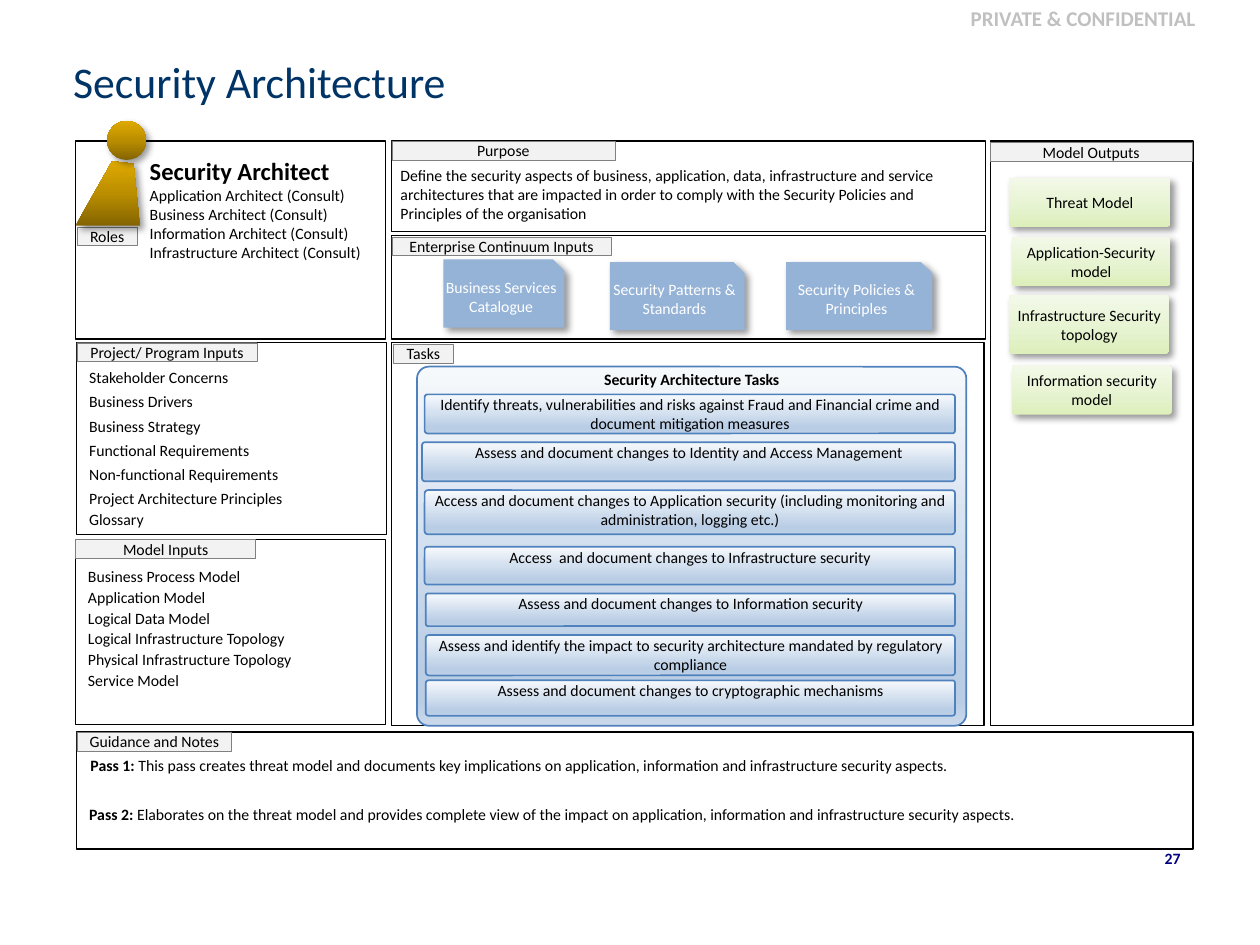
from lxml.etree import SubElement
from pptx import Presentation
from pptx.dml.color import RGBColor
from pptx.enum.shapes import MSO_SHAPE
from pptx.enum.text import MSO_ANCHOR, PP_ALIGN
from pptx.oxml.ns import qn
from pptx.util import Inches, Pt

GOLD = [(0, "846400"), (50, "BB8E00"), (100, "DEA900")]
GREEN = [(0, "DDEFBB"), (50, "E8F4D4"), (100, "F3F9E9")]
BLUE = [(0, "F6F9FC"), (85, "B9CDE5"), (93, "B9CDE5"), (100, "CAD9EB")]
NO_INSET = (0, 0, 0, 0)


def rgb(value):
    """Turn a hex string into a colour."""
    return RGBColor.from_string(value)


def within(box, dx, dy, w, h):
    """Return a box offset from the corner of a parent box."""
    return box[0] + dx, box[1] + dy, w, h


def write(sp, paras, size=9, color="000000", bold=False, align=PP_ALIGN.LEFT,
          anchor=MSO_ANCHOR.TOP, inset=(0.1, 0.05, 0.1, 0.05), after=()):
    """Write paragraphs, each a string or a list of (text, size, bold) runs."""
    tf = sp.text_frame
    tf.word_wrap = True
    tf.vertical_anchor = anchor
    tf.margin_left, tf.margin_top, tf.margin_right, tf.margin_bottom = map(Inches, inset)
    for i, runs in enumerate([paras] if isinstance(paras, str) else paras):
        p = tf.add_paragraph() if i else tf.paragraphs[0]
        p.alignment = align
        if after:
            p.space_after = Pt(after[i])
        for text, pts, strong in [(runs, size, bold)] if isinstance(runs, str) else runs:
            r = p.add_run()
            r.text = text
            r.font.name, r.font.size, r.font.bold = "Calibri", Pt(pts), strong
            r.font.color.rgb = rgb(color)


def label(s, box, paras, **fmt):
    """Add a text box."""
    write(s.shapes.add_textbox(*map(Inches, box)), paras, **fmt)


def paint(sp, fill, angle=0, line=None, weight=0.75, shadow=False):
    """Set the fill, outline and shadow of a shape."""
    if isinstance(fill, str):
        sp.fill.solid()
        sp.fill.fore_color.rgb = rgb(fill)
    else:
        sp.fill.gradient()
        sp.fill.gradient_angle = angle
        stops = sp._element.spPr.find(qn("a:gradFill")).find(qn("a:gsLst"))
        for old in list(stops):
            stops.remove(old)
        for pos, value in fill:
            stop = SubElement(stops, qn("a:gs"), pos=str(pos * 1000))
            SubElement(stop, qn("a:srgbClr"), val=value)
    if line:
        sp.line.color.rgb = rgb(line)
        sp.line.width = Pt(weight)
    else:
        sp.line.fill.background()
    sp.shadow.inherit = False
    if shadow:
        effects = sp._element.spPr.find(qn("a:effectLst"))
        outer = SubElement(effects, qn("a:outerShdw"), blurRad=str(Pt(4)), dist=str(Pt(3)),
                           dir="2700000", algn="tl", rotWithShape="0")
        tone = SubElement(outer, qn("a:srgbClr"), val="000000")
        SubElement(tone, qn("a:alpha"), val="40000")


def block(s, box, fill, kind=MSO_SHAPE.RECTANGLE, adj=None, **look):
    """Add a painted preset shape."""
    sp = s.shapes.add_shape(kind, *map(Inches, box))
    if adj is not None:
        sp.adjustments[0] = adj
    paint(sp, fill, **look)
    return sp


def panel(s, box, tag, tag_width, dx=0.0, dy=0.0):
    """Add an outlined panel with its grey tag and return the panel."""
    sp = block(s, box, "FFFFFF", line="000000")
    tab = block(s, within(box, dx, dy, tag_width, 0.15), "F2F2F2", line="808080", weight=0.25)
    write(tab, tag, align=PP_ALIGN.CENTER, inset=NO_INSET)
    return sp


def heading(s, box):
    """Add the confidentiality mark and the title."""
    label(s, within(box, 6.17, 0, 3.41, 0.29), "PRIVATE & CONFIDENTIAL", size=12,
          color="C0C0C0", bold=True, align=PP_ALIGN.RIGHT, inset=(0.09, 0.04, 0.09, 0.04))
    label(s, within(box, 0.49, 0.28, 8.91, 0.73), "Security Architecture", size=25,
          color="003366", anchor=MSO_ANCHOR.MIDDLE, inset=(0.09, 0.05, 0.09, 0.05))


def roles(s, box):
    """Add the roles panel with its person figure."""
    panel(s, box, "Roles", 0.48, 0.01, 0.68)
    names = ["Application", "Business", "Information", "Infrastructure"]
    label(s, within(box, 0.49, 0.07, 1.94, 0.94),
          [[("Security Architect", 14, True)]] + [f"{n} Architect (Consult)" for n in names])
    points = [(Inches(box[0] + x), Inches(box[1] + y))
              for x, y in [(0, 0.67), (0.29, 0.16), (0.46, 0.18), (0.51, 0.67)]]
    builder = s.shapes.build_freeform(*points[0])
    builder.add_line_segments(points[1:], close=True)
    paint(builder.convert_to_shape(), GOLD, angle=90, shadow=True)
    block(s, within(box, 0.25, -0.16, 0.31, 0.31), GOLD, MSO_SHAPE.OVAL, angle=90, shadow=True)


def input_list(s, box, tag, items, top, after):
    """Add a tagged panel that lists inputs."""
    write(panel(s, box, tag, 1.43), items, inset=(0.1, top, 0.1, 0.05), after=after)


def purpose(s, box):
    """Add the purpose panel."""
    panel(s, box, "Purpose", 1.77)
    label(s, within(box, -0.03, 0.15, 4.71, 0.56),
          "Define the security aspects of business, application, data, infrastructure and service "
          "architectures that are impacted in order to comply with the Security Policies and "
          "Principles of the organisation")


def continuum(s, box):
    """Add the enterprise inputs as snipped cards."""
    panel(s, box, "Enterprise Continuum Inputs", 1.74, 0, 0.01)
    for dx, dy, w, text in [(0.41, 0.19, 0.96, "Business Services Catalogue"),
                            (1.73, 0.21, 1.07, "Security Patterns & Standards"),
                            (3.13, 0.21, 1.16, "Security Policies & Principles")]:
        card = block(s, within(box, dx, dy, w, 0.54), "95B3D7",
                     MSO_SHAPE.SNIP_1_RECTANGLE, shadow=True)
        write(card, text, color="FFFFFF", align=PP_ALIGN.CENTER,
              anchor=MSO_ANCHOR.MIDDLE, inset=NO_INSET)


def tasks(s, box):
    """Add the task panel with its stack of bars."""
    panel(s, box, "Tasks", 0.48, 0.01, 0.01)
    look = dict(kind=MSO_SHAPE.ROUNDED_RECTANGLE, angle=270, line="4F81BD", weight=1)
    frame = block(s, within(box, 0.2, 0.19, 4.36, 2.85), BLUE, adj=0.033, **look)
    write(frame, "Security Architecture Tasks", bold=True, align=PP_ALIGN.CENTER,
          inset=(0.1, 0, 0.1, 0.1))
    bars = [
        (0.26, 0.41, 0.31, "Identify threats, vulnerabilities and risks against Fraud and "
                           "Financial crime and document mitigation measures"),
        (0.24, 0.79, 0.31, "Assess and document changes to Identity and Access Management"),
        (0.26, 1.17, 0.35, "Access and document changes to Application security (including "
                           "monitoring and administration, logging etc.)"),
        (0.26, 1.62, 0.3, "Access  and document changes to Infrastructure security"),
        (0.27, 1.99, 0.26, "Assess and document changes to Information security"),
        (0.27, 2.32, 0.32, "Assess and identify the impact to security architecture mandated "
                           "by regulatory compliance"),
        (0.27, 2.68, 0.28, "Assess and document changes to cryptographic mechanisms"),
    ]
    for dx, dy, h, text in bars:
        bar = block(s, within(box, dx, dy, 4.47 - dx, h), BLUE, adj=0.073, **look)
        write(bar, text, align=PP_ALIGN.CENTER, inset=NO_INSET)


def outputs(s, box):
    """Add the output models as green cards."""
    panel(s, box, "Model Outputs", 1.6, 0, 0.01)
    for dx, dy, w, h, text in [(0.15, 0.29, 1.28, 0.39, "Threat Model"),
                               (0.17, 0.76, 1.26, 0.39, "Application-Security model"),
                               (0.15, 1.22, 1.27, 0.47, "Infrastructure Security topology"),
                               (0.17, 1.78, 1.27, 0.39, "Information security model")]:
        card = block(s, within(box, dx, dy, w, h), GREEN, MSO_SHAPE.ROUNDED_RECTANGLE,
                     adj=0.062, angle=90, shadow=True)
        write(card, text, align=PP_ALIGN.CENTER, anchor=MSO_ANCHOR.MIDDLE, inset=NO_INSET)


def guidance(s, box):
    """Add the guidance notes and the page number."""
    panel(s, box, "Guidance and Notes", 1.23)
    for dx, dy, name, text in [
            (0.01, 0.14, "Pass 1: ", "This pass creates threat model and documents key implications "
             "on application, information and infrastructure security aspects."),
            (0, 0.53, "Pass 2: ", "Elaborates on the threat model and provides complete view of the "
             "impact on application, information and infrastructure security aspects.")]:
        label(s, within(box, dx, dy, 8.86, 0.25), [[(name, 9, True), (text, 9, False)]])
    label(s, within(box, 8.45, 0.88, 0.4, 0.3), "27", color="000080", bold=True,
          align=PP_ALIGN.RIGHT, inset=(0.09, 0.05, 0.09, 0.05))


def main():
    """Build the slide and save it."""
    prs = Presentation()
    prs.slide_width, prs.slide_height = Inches(10), Inches(7.5)
    s = prs.slides.add_slide(prs.slide_layouts[6])
    heading(s, (0, 0, 10, 1))
    continuum(s, (3.11, 1.87, 4.71, 0.82))
    outputs(s, (7.86, 1.12, 1.61, 4.64))
    tasks(s, (3.11, 2.72, 4.7, 3.04))
    input_list(s, (0.61, 2.72, 2.46, 1.52), "Project/ Program Inputs",
               ["Stakeholder Concerns", "Business Drivers", "Business Strategy",
                "Functional Requirements", "Non-functional Requirements",
                "Project Architecture Principles", "Glossary"], 0.2, [3] * 5 + [1] * 2)
    roles(s, (0.6, 1.12, 2.46, 1.57))
    guidance(s, (0.61, 5.81, 8.86, 0.93))
    purpose(s, (3.11, 1.12, 4.71, 0.72))
    input_list(s, (0.6, 4.28, 2.46, 1.47), "Model Inputs",
               ["Business Process Model", "Application Model", "Logical Data Model",
                "Logical Infrastructure Topology", "Physical Infrastructure Topology",
                "Service Model"], 0.22, [1] * 6)
    prs.save("out.pptx")


if __name__ == "__main__":
    main()
